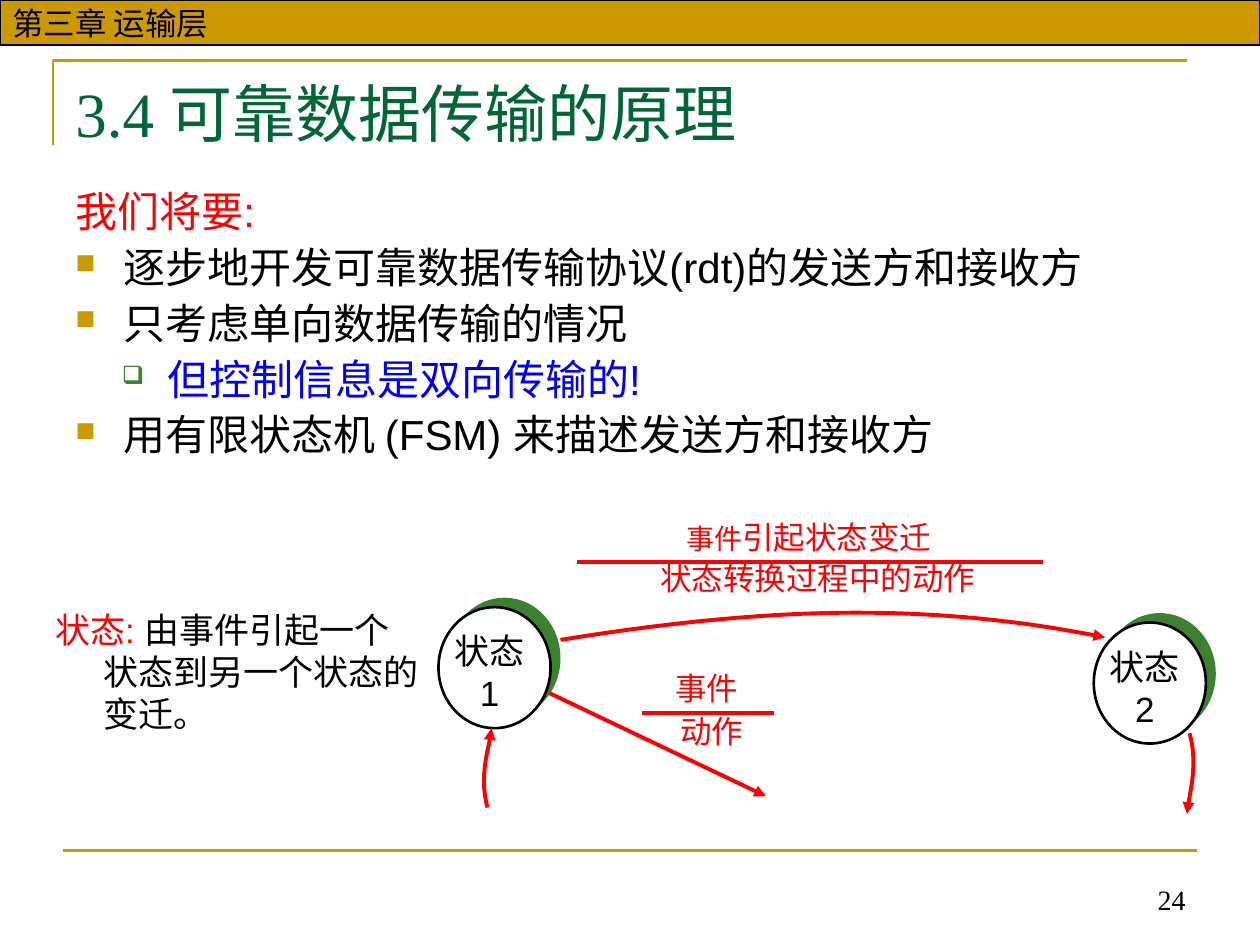
from lxml import etree
from pptx import Presentation
from pptx.dml.color import RGBColor
from pptx.enum.shapes import MSO_CONNECTOR, MSO_SHAPE
from pptx.enum.text import MSO_ANCHOR, PP_ALIGN
from pptx.oxml.ns import qn
from pptx.util import Cm, Pt

RECT, OVAL, STRAIGHT = MSO_SHAPE.RECTANGLE, MSO_SHAPE.OVAL, MSO_CONNECTOR.STRAIGHT
LEFT, CENTER, RIGHT = PP_ALIGN.LEFT, PP_ALIGN.CENTER, PP_ALIGN.RIGHT
TOP, MIDDLE, BOTTOM = MSO_ANCHOR.TOP, MSO_ANCHOR.MIDDLE, MSO_ANCHOR.BOTTOM

COLORS = {
    "gold": "CC9900", "black": "000000", "white": "FFFFFF", "title": "006633",
    "leaf": "3B812F", "red": "FF0000", "blue": "0000FF",
}
SANS, SERIF = "Arial", "Times New Roman"
BULLETS = {
    "square": {"char": "■", "color": "gold", "size": 65, "margin": 0.97, "indent": -0.97},
    "box": {"char": "❑", "color": "leaf", "size": 60, "margin": 1.85, "indent": -0.91},
}
CURVE_STEPS = 32


def rgb(name):
    """Return the named colour."""
    return RGBColor.from_string(COLORS[name])


def apply_format(target, values):
    """Set every attribute in values on target."""
    for name, value in values.items():
        setattr(target, name, value)


def add_run(paragraph, text, size, color, font=SANS):
    """Append a formatted run."""
    run = paragraph.add_run()
    run.text = text
    apply_format(run.font, {"name": font, "size": Pt(size)})
    run.font.color.rgb = rgb(color)


def set_indent(paragraph, margin, indent):
    """Give a paragraph its left margin and first-line indent in cm."""
    properties = paragraph._p.get_or_add_pPr()
    properties.set("marL", str(Cm(margin)))
    properties.set("indent", str(Cm(indent)))
    return properties


def add_bullet(paragraph, char, color, size, margin, indent):
    """Give a paragraph a coloured bullet character."""
    properties = set_indent(paragraph, margin, indent)
    bullet_color = etree.SubElement(properties, qn("a:buClr"))
    etree.SubElement(bullet_color, qn("a:srgbClr"), val=COLORS[color])
    etree.SubElement(properties, qn("a:buSzPct"), val=str(size * 1000))
    etree.SubElement(properties, qn("a:buChar"), char=char)


def add_text(shapes, box, paragraphs, align=LEFT, anchor=TOP, wrap=True):
    """Add a text box whose paragraphs are lists of run arguments."""
    frame = shapes.add_textbox(*map(Cm, box)).text_frame
    apply_format(frame, {"word_wrap": wrap, "vertical_anchor": anchor})
    for index, runs in enumerate(paragraphs):
        paragraph = frame.add_paragraph() if index else frame.paragraphs[0]
        paragraph.alignment = align
        for run in runs:
            add_run(paragraph, *run)
    return frame


def set_line(shape, color, width, arrow=False):
    """Style an outline, with an optional arrowhead at its end."""
    shape.line.color.rgb = rgb(color)
    shape.line.width = Pt(width)
    if arrow:
        etree.SubElement(shape.line._get_or_add_ln(), qn("a:tailEnd"), type="triangle")


def add_filled(shapes, kind, box, fill, line_width=None):
    """Add a preset shape with a plain fill and an optional black outline."""
    shape = shapes.add_shape(kind, *map(Cm, box))
    shape.shadow.inherit = False
    shape.fill.solid()
    shape.fill.fore_color.rgb = rgb(fill)
    if line_width:
        set_line(shape, "black", line_width)
    else:
        shape.line.fill.background()
    return shape


def add_rule(shapes, start, end, color, width, arrow=False):
    """Add a straight line."""
    rule = shapes.add_connector(STRAIGHT, *map(Cm, start + end))
    set_line(rule, color, width, arrow)
    etree.SubElement(rule._element.spPr, qn("a:effectLst"))


def add_path(shapes, points, color, width, arrow=False):
    """Add an open outline through points."""
    first, *rest = [(Cm(x), Cm(y)) for x, y in points]
    builder = shapes.build_freeform(*first)
    builder.add_line_segments(rest, close=False)
    outline = builder.convert_to_shape()
    outline.shadow.inherit = False
    outline.fill.background()
    set_line(outline, color, width, arrow)


def cubic_points(start, control1, control2, end):
    """Return points along a cubic curve."""
    points = []
    for step in range(CURVE_STEPS + 1):
        t = step / CURVE_STEPS
        weights = ((1 - t) ** 3, 3 * t * (1 - t) ** 2, 3 * t * t * (1 - t), t ** 3)
        points.append(tuple(sum(w * v for w, v in zip(weights, axis))
                            for axis in zip(start, control1, control2, end)))
    return points


def add_state(shapes, left, top, number):
    """Add a numbered state circle with its offset backing."""
    state = shapes.add_group_shape().shapes
    add_filled(state, OVAL, (left + 0.2, top - 0.19, 2.26, 2.44), "leaf")
    add_filled(state, OVAL, (left, top, 2.26, 2.44), "white", 1.5)
    add_text(state, (left - 0.22, top + 0.33, 2.5, 1.96),
             [[("状态", 20, "black")], [(number, 20, "black")]], CENTER)


def add_transition(shapes, event, event_box, action, action_box, start, end):
    """Add an event above a rule and an action below it."""
    add_text(shapes, event_box, [event], CENTER, wrap=False)
    add_text(shapes, action_box, [[(action, 18, "red")]], CENTER, wrap=False)
    add_rule(shapes, start, end, "red", 2.25)


def add_frame(shapes):
    """Add the chapter bar, the rules and the page number."""
    add_path(shapes, [(1.07, 2.92), (1.07, 1.22), (23.93, 1.22)], "gold", 1.5)
    add_rule(shapes, (1.27, 17.15), (24.13, 17.15), "gold", 1.5)
    chapter = add_filled(shapes, RECT, (0, 0, 25.4, 0.91), "gold", 0.75).text_frame
    chapter.vertical_anchor = MIDDLE
    chapter.paragraphs[0].alignment = LEFT
    add_run(chapter.paragraphs[0], "第三章 运输层", 18, "black")
    add_text(shapes, (16.1, 17.32, 8.05, 1.27), [[("24", 16, "black", SERIF)]], RIGHT, BOTTOM)


def add_plan(shapes):
    """Add the bulleted plan."""
    plan = [
        ("我们将要:", "red", None),
        ("逐步地开发可靠数据传输协议(rdt)的发送方和接收方", "black", "square"),
        ("只考虑单向数据传输的情况", "black", "square"),
        ("但控制信息是双向传输的!", "blue", "box"),
        ("用有限状态机 (FSM) 来描述发送方和接收方", "black", "square"),
    ]
    frame = add_text(shapes, (1.27, 3.73, 22.86, 6),
                     [[(text, 24, color)] for text, color, _ in plan])
    for index, (paragraph, (_, _, bullet)) in enumerate(zip(frame.paragraphs, plan)):
        if bullet:
            add_bullet(paragraph, **BULLETS[bullet])
        apply_format(paragraph, {"line_spacing": 0.9, "space_before": Pt(6 if index else 0),
                                 "level": int(bullet == "box")})


def add_state_machine(shapes):
    """Add the two states, their transitions and the definition."""
    add_state(shapes, 8.84, 12.24, "1")
    add_state(shapes, 22.05, 12.55, "2")
    transitions = [
        ((11.3, 12.9), (15.39, 12.24), (18.67, 12.12), (22.28, 12.85)),
        ((9.83, 16.28), (9.63, 15.57), (9.91, 14.94), (9.91, 14.68)),
        ((23.98, 14.78), (24.18, 15.49), (23.93, 16.15), (23.93, 16.41)),
    ]
    for curve in transitions:
        add_path(shapes, cubic_points(*curve), "red", 2.25, arrow=True)
    add_rule(shapes, (11.07, 13.97), (15.44, 16.05), "red", 2.25, arrow=True)
    add_transition(shapes, [("事件", 16, "red"), ("引起状态变迁", 18, "red")],
                   (13.59, 10.31, 5.44, 1.02), "状态转换过程中的动作",
                   (13.06, 11.15, 6.86, 1.02), (11.63, 11.33), (21.03, 11.33))
    add_transition(shapes, [("事件", 18, "red")], (13.36, 13.36, 1.78, 1.02),
                   "动作", (13.46, 14.22, 1.78, 1.02), (12.95, 14.38), (15.6, 14.38))
    definition = add_text(shapes, (0.86, 12.14, 7.9, 3.43), [[
        ("状态: ", 20, "red"), ("由事件引起一个状态到另一个状态的变迁。", 20, "black")]])
    set_indent(definition.paragraphs[0], 0.97, -0.97)


def main():
    """Build and save the slide."""
    deck = Presentation()
    apply_format(deck, {"slide_width": Cm(25.4), "slide_height": Cm(19.05)})
    shapes = deck.slides.add_slide(deck.slide_layouts[6]).shapes
    add_frame(shapes)
    add_text(shapes, (1.27, 1.37, 22.86, 1.96),
             [[("3.4 可靠数据传输的原理", 36, "title", SERIF)]])
    add_plan(shapes)
    add_state_machine(shapes)
    deck.save("out.pptx")


if __name__ == "__main__":
    main()
